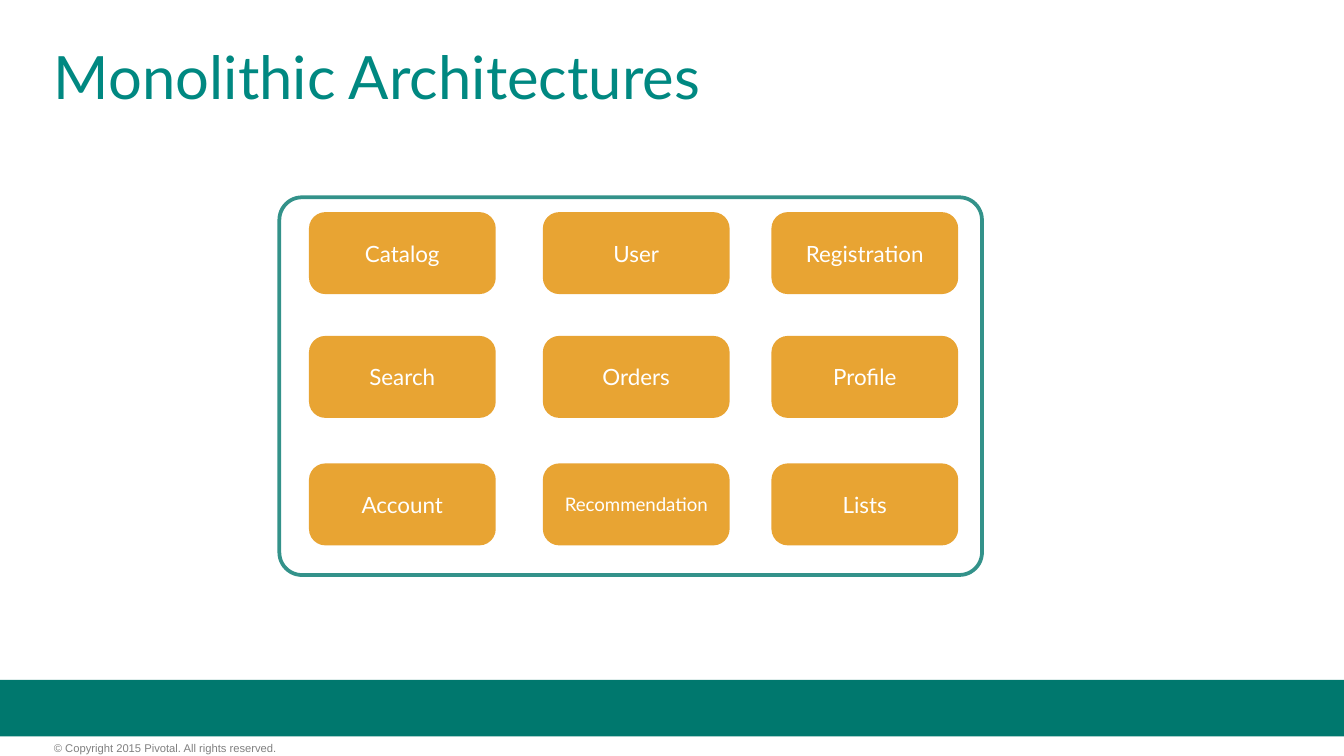
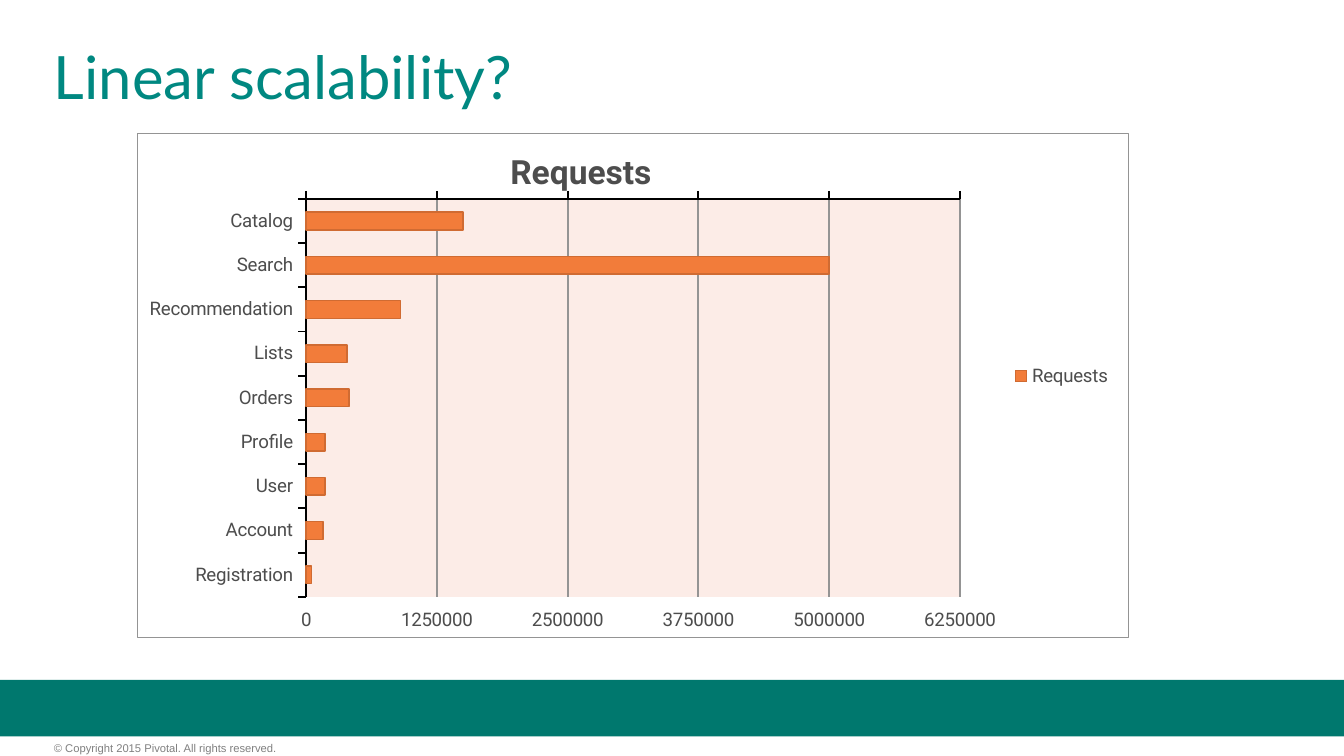
from lxml import etree
from pptx import Presentation
from pptx import util as u
from pptx.chart import data
from pptx.dml import color
from pptx.enum import chart as ch, shapes, text
from pptx.oxml import ns

HUES = {
    "band": "00786E", "title": "008881", "frame": "33928A", "box": "E8A433",
    "white": "FFFFFF", "foot": "808080", "ink": "4D4D4D", "grid": "949494",
    "plot": "FCECE7", "bar": "F27C3A", "edge": "D06B32", "axis": "000000",
}
COLS = (5.84, 10.26, 14.58)
ROWS = (4.01, 6.35, 8.76)
PARTS = (
    ("Catalog", "User", "Registration"),
    ("Search", "Orders", "Profile"),
    ("Account", "Recommendation", "Lists"),
)
LOADS = {
    "Catalog": 1500000, "Search": 5000000, "Recommendation": 900000,
    "Lists": 390000, "Orders": 410000, "Profile": 180000,
    "User": 180000, "Account": 160000, "Registration": 50000,
}


def rgb(hue):
    """Return the named colour."""
    return color.RGBColor.from_string(HUES[hue])


def span(*sizes):
    """Turn centimetres into lengths."""
    return [u.Cm(size) for size in sizes]


def style(font, face, size, hue, bold=False):
    """Set the look of a font."""
    font.name, font.size, font.bold = face, u.Pt(size), bold
    font.color.rgb = rgb(hue)


def ink(line, hue, width):
    """Set the colour and width of a line."""
    line.color.rgb = rgb(hue)
    line.width = u.Pt(width)


def write(frame, words, face, size, hue, align, anchor, inset=0):
    """Put one styled run into a text frame."""
    frame.word_wrap = True
    frame.auto_size = text.MSO_AUTO_SIZE.NONE
    frame.vertical_anchor = anchor
    frame.margin_left = frame.margin_right = u.Cm(inset)
    frame.margin_top = frame.margin_bottom = u.Cm(inset)
    para = frame.paragraphs[0]
    para.alignment = align
    run = para.add_run()
    run.text = words
    style(run.font, face, size, hue)
    return para


def block(slide, kind, place, fill, round_by=None):
    """Add a plain filled shape."""
    shape = slide.shapes.add_shape(kind, *span(*place))
    shape.shadow.inherit = False
    shape.fill.solid()
    shape.fill.fore_color.rgb = rgb(fill)
    shape.line.fill.background()
    if round_by is not None:
        shape.adjustments[0] = round_by
    return shape


def page(deck, words):
    """Add a slide with its title, band and footer."""
    slide = deck.slides.add_slide(deck.slide_layouts[5])
    block(slide, shapes.MSO_SHAPE.RECTANGLE, (0, 12.85, 25.4, 1.07), "band")
    foot = slide.shapes.add_textbox(*span(1.02, 14.02, 6.32, 0.27))
    left, top = text.PP_ALIGN.LEFT, text.MSO_ANCHOR.TOP
    write(foot.text_frame, "© Copyright 2015 Pivotal. All rights reserved.",
          "Arial", 6, "foot", left, top)
    title = slide.shapes.title
    title.left, title.top, title.width, title.height = span(1.02, 0.91, 23.37, 1.73)
    para = write(title.text_frame, words, "Lato", 32, "title", left, top)
    para.line_spacing = 0.9
    return slide


def grid(slide):
    """Draw the framed grid of services."""
    kind = shapes.MSO_SHAPE.ROUNDED_RECTANGLE
    frame = block(slide, kind, (5.28, 3.73, 13.28, 7.14), "white", 0.06)
    ink(frame.line, "frame", 2)
    for top, names in zip(ROWS, PARTS):
        for left, name in zip(COLS, names):
            box = block(slide, kind, (left, top, 3.53, 1.55), "box", 0.2)
            size = 10 if name == "Recommendation" else 12
            write(box.text_frame, name, "Lato", size, "white",
                  text.PP_ALIGN.CENTER, text.MSO_ANCHOR.MIDDLE, 0.15)


def node(owner, tag, **attrs):
    """Append a chart element."""
    return etree.SubElement(owner, ns.qn(tag), attrs)


def pin(part, inner=False, **marks):
    """Fix the place of a chart part as shares of the chart."""
    for old in part.findall(ns.qn("c:layout")):
        part.remove(old)
    lay = etree.Element(ns.qn("c:layout"))
    spot = node(lay, "c:manualLayout")
    if inner:
        node(spot, "c:layoutTarget", val="inner")
    for key in ("x", "y"):
        node(spot, f"c:{key}Mode", val="edge")
    for key, share in marks.items():
        node(spot, f"c:{key}", val=str(share))
    over = part.find(ns.qn("c:overlay"))
    if over is None:
        part.insert(0, lay)
    else:
        over.set("val", "1")
        over.addprevious(lay)


def paint(fill, edge=None):
    """Make the fill and border of a chart area."""
    look = etree.Element(ns.qn("c:spPr"))
    node(node(look, "a:solidFill"), "a:srgbClr", val=HUES[fill])
    if edge:
        line = node(look, "a:ln", w=str(u.Pt(0.75)))
        node(node(line, "a:solidFill"), "a:srgbClr", val=HUES[edge])
    return look


def tune(axis):
    """Style one chart axis."""
    axis.major_tick_mark = ch.XL_TICK_MARK.OUTSIDE
    axis.minor_tick_mark = ch.XL_TICK_MARK.NONE
    style(axis.tick_labels.font, "Roboto", 10, "ink")
    ink(axis.format.line, "axis", 1)


def bars(slide):
    """Add the bar chart of requests."""
    loads = data.CategoryChartData(number_format="0")
    loads.categories = list(LOADS)
    loads.add_series("Requests", list(LOADS.values()))
    chart = slide.shapes.add_chart(ch.XL_CHART_TYPE.BAR_CLUSTERED,
                                   *span(2.59, 2.51, 18.75, 9.55), loads).chart
    style(chart.font, "Roboto", 10, "ink")

    names, scale = chart.category_axis, chart.value_axis
    tune(names)
    tune(scale)
    names.reverse_order = True
    names.has_major_gridlines = False
    scale.minimum_scale, scale.maximum_scale = 0, 6250000
    scale.major_unit = 1250000
    scale.tick_label_position = ch.XL_TICK_LABEL_POSITION.HIGH
    scale.tick_labels.number_format = "0"
    scale.tick_labels.number_format_is_linked = False
    ink(scale.major_gridlines.format.line, "grid", 1)

    plot = chart.plots[0]
    plot.gap_width = 150
    plot.vary_by_categories = False
    series = plot.series[0]
    series.format.fill.solid()
    series.format.fill.fore_color.rgb = rgb("bar")
    ink(series.format.line, "edge", 0.75)

    chart.has_title = True
    run = chart.chart_title.text_frame.paragraphs[0].add_run()
    run.text = "Requests"
    style(run.font, "Roboto", 18, "ink", True)
    chart.has_legend = True
    chart.legend.position = ch.XL_LEGEND_POSITION.RIGHT
    chart.legend.include_in_layout = True
    style(chart.legend.font, "Roboto", 10, "ink")

    root = chart.element.find(ns.qn("c:chart"))
    area = root.find(ns.qn("c:plotArea"))
    pin(root.find(ns.qn("c:title")), x=0.37, y=0.02)
    pin(root.find(ns.qn("c:legend")), x=0.88, y=0.45)
    pin(area, True, x=0.17, y=0.13, w=0.66, h=0.79)
    area.append(paint("plot"))
    root.addnext(paint("white", "grid"))


def main():
    """Build the two slides."""
    deck = Presentation()
    deck.slide_width, deck.slide_height = span(25.4, 14.29)
    grid(page(deck, "Monolithic Architectures"))
    bars(page(deck, "Linear scalability?"))
    deck.save("out.pptx")


if __name__ == "__main__":
    main()
